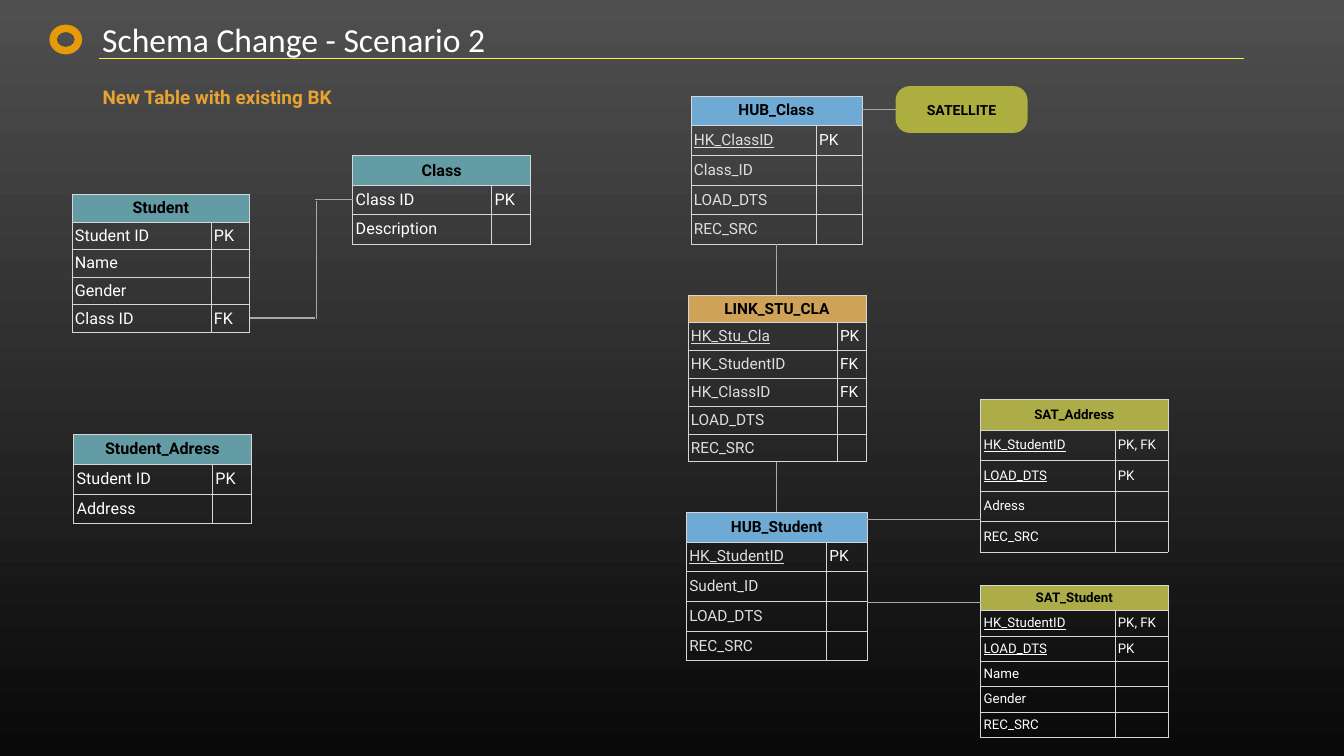
import pptx
import pptx.dml.color
import pptx.enum.shapes
import pptx.enum.text
import pptx.oxml
import pptx.oxml.ns
import pptx.util

Cm, Pt = pptx.util.Cm, pptx.util.Pt
SHAPE = pptx.enum.shapes.MSO_SHAPE
ALIGN = pptx.enum.text.PP_ALIGN
MIDDLE = pptx.enum.text.MSO_ANCHOR.MIDDLE

COLORS = {
    "top": "4F4F4F", "bottom": "090909", "white": "FFFFFF", "black": "000000",
    "pale": "DCDEE0", "rule": "F8EF4A", "accent": "E8A432", "emblem": "E69A0A",
    "border": "D6D6D6", "link_line": "A6AAA8", "satellite": "ACAE40",
}

# Kind of table: header fill, name colour, text size, keys underlined
KINDS = {
    "source": ("649CA6", "white", 23, False),
    "hub": ("6EAAD4", "pale", 22, True),
    "link": ("CEA358", "pale", 22, True),
    "sat": ("ACAD48", "white", 19, True),
}

# Title, kind, (left, top), column widths, height, fields with their keys
TABLES = [
    ("Student", "source", (3.63, 9.8), (7, 1.96), 6.95,
     [("Student ID", "PK"), ("Name", ""), ("Gender", ""), ("Class ID", "FK")]),
    ("Class", "source", (17.78, 7.85), (7, 1.96), 4.46,
     [("Class ID", "PK"), ("Description", "")]),
    ("Student_Adress", "source", (3.71, 21.89), (7, 1.96), 4.5,
     [("Student ID", "PK"), ("Address", "")]),
    ("HUB_Class", "hub", (34.82, 4.83), (6.32, 2.3), 7.49,
     [("HK_ClassID", "PK"), ("Class_ID", ""), ("LOAD_DTS", ""), ("REC_SRC", "")]),
    ("LINK_STU_CLA", "link", (34.67, 14.86), (7.52, 1.46), 8.41,
     [("HK_Stu_Cla", "PK"), ("HK_StudentID", "FK"), ("HK_ClassID", "FK"),
      ("LOAD_DTS", ""), ("REC_SRC", "")]),
    ("HUB_Student", "hub", (34.59, 25.81), (7.06, 2.06), 7.49,
     [("HK_StudentID", "PK"), ("Sudent_ID", ""), ("LOAD_DTS", ""), ("REC_SRC", "")]),
    ("SAT_Student", "sat", (49.43, 29.49), (6.76, 2.67), 7.67,
     [("HK_StudentID", "PK, FK"), ("LOAD_DTS", "PK"), ("Name", ""),
      ("Gender", ""), ("REC_SRC", "")]),
    ("SAT_Address", "sat", (49.43, 20.14), (6.76, 2.67), 7.67,
     [("HK_StudentID", "PK, FK"), ("LOAD_DTS", "PK"), ("Adress", ""), ("REC_SRC", "")]),
]

# Relations between tables: x1, y1, x2, y2
RELATIONS = [
    (15.95, 16.1, 15.95, 10.13),    # Student to Class
    (15.9, 10.06, 17.81, 10.06),
    (12.6, 16.03, 15.88, 16.03),
    (39.14, 23.27, 39.14, 25.81),   # LINK_STU_CLA to HUB_Student
    (39.14, 14.86, 39.14, 12.32),   # LINK_STU_CLA to HUB_Class
    (43.44, 5.51, 45.14, 5.51),     # HUB_Class to satellite
    (43.69, 30.35, 49.43, 30.35),   # HUB_Student to SAT_Student
    (43.69, 26.19, 49.43, 26.19),   # HUB_Student to SAT_Address
]


def rgb(value):
    return pptx.dml.color.RGBColor.from_string(COLORS.get(value, value))


def write(frame, text, size, color, font="Roboto", bold=False, align=ALIGN.LEFT,
          underline=False):
    para = frame.paragraphs[0]
    para.text = text
    para.alignment = align
    para.font.name, para.font.size = font, Pt(size)
    para.font.bold, para.font.underline = bold, underline
    para.font.color.rgb = rgb(color)


def set_margins(item, size):
    item.margin_left = item.margin_right = Cm(size)
    item.margin_top = item.margin_bottom = Cm(size)


def add_line(slide, ends, color, width):
    line = slide.shapes.add_connector(
        pptx.enum.shapes.MSO_CONNECTOR.STRAIGHT, *[Cm(value) for value in ends])
    line.line.color.rgb = rgb(color)
    line.line.width = Pt(width)
    line._element.spPr.append(pptx.oxml.parse_xml(
        f"<a:effectLst {pptx.oxml.ns.nsdecls('a')}/>"))


def add_solid(slide, preset, bounds, color):
    shape = slide.shapes.add_shape(preset, *[Cm(value) for value in bounds])
    shape.shadow.inherit = False
    shape.fill.solid()
    shape.fill.fore_color.rgb = rgb(color)
    shape.line.fill.background()
    return shape


def style_cell(cell, fill=None):
    cell.vertical_anchor = MIDDLE
    set_margins(cell, 0.15)
    properties = cell._tc.get_or_add_tcPr()
    for side in ("lnL", "lnR", "lnT", "lnB"):
        properties.append(pptx.oxml.parse_xml(
            f'<a:{side} {pptx.oxml.ns.nsdecls("a")} w="12700"><a:solidFill>'
            f'<a:srgbClr val="{COLORS["border"]}"/></a:solidFill></a:{side}>'))
    if fill:
        cell.fill.solid()
        cell.fill.fore_color.rgb = rgb(fill)
    else:
        cell.fill.background()


def add_entity(slide, title, kind, corner, widths, height, fields):
    fill, name_color, size, underlined = KINDS[kind]
    count = len(fields) + 1
    table = slide.shapes.add_table(
        count, 2, Cm(corner[0]), Cm(corner[1]), Cm(sum(widths)), Cm(height)).table
    table.first_row = table.horz_banding = False
    for column, width in zip(table.columns, widths):
        column.width = Cm(width)
    for row in table.rows:
        row.height = Cm(height / count)
    for cell in table.iter_cells():
        style_cell(cell)
    for cell in table.rows[0].cells:
        cell.fill.solid()
        cell.fill.fore_color.rgb = rgb(fill)
    header = table.cell(0, 0)
    header.merge(table.cell(0, 1))
    write(header.text_frame, title, size, "black", bold=True, align=ALIGN.CENTER)
    for index, (name, key) in enumerate(fields, 1):
        write(table.cell(index, 0).text_frame, name, size, name_color,
              underline=underlined and "PK" in key)
        write(table.cell(index, 1).text_frame, key, size, "white")


def main():
    deck = pptx.Presentation()
    deck.slide_width, deck.slide_height = Cm(67.74), Cm(38.1)
    slide = deck.slides.add_slide(deck.slide_layouts[5])

    # Background
    background = slide.background.fill
    background.gradient()
    background.gradient_angle = 270
    for stop, color in zip(background.gradient_stops, ("top", "bottom")):
        stop.color.rgb = rgb(color)

    # Title, rule, emblem and subtitle
    title = slide.shapes.title
    title.left, title.top, title.width, title.height = Cm(4.95), Cm(1), Cm(26.85), Cm(1.96)
    subtitle = slide.shapes.add_textbox(Cm(4.57), Cm(4.14), Cm(12.75), Cm(1.52))
    for box in (title, subtitle):
        box.text_frame.word_wrap = box is title
        box.text_frame.vertical_anchor = MIDDLE
        set_margins(box.text_frame, 0.2)
    write(title.text_frame, "Schema Change - Scenario 2", 48, "white", font="Calibri")
    write(subtitle.text_frame, "New Table with existing BK", 27, "accent", bold=True,
          align=ALIGN.CENTER)
    add_line(slide, (5, 2.92, 62.71, 2.92), "rule", 1)
    add_solid(slide, SHAPE.DONUT, (2.49, 1.24, 1.65, 1.5), "emblem")

    # Tables and their relations
    for entity in TABLES:
        add_entity(slide, *entity)
    for ends in RELATIONS:
        add_line(slide, ends, "link_line", 2)

    # Satellite of HUB_Class
    satellite = add_solid(slide, SHAPE.ROUNDED_RECTANGLE, (45.14, 4.34, 6.65, 2.36),
                          "satellite")
    satellite.adjustments[0] = 0.3
    satellite.text_frame.vertical_anchor = MIDDLE
    set_margins(satellite.text_frame, 0.15)
    write(satellite.text_frame, "SATELLITE", 20, "black", bold=True, align=ALIGN.CENTER)

    deck.save("out.pptx")


if __name__ == "__main__":
    main()
